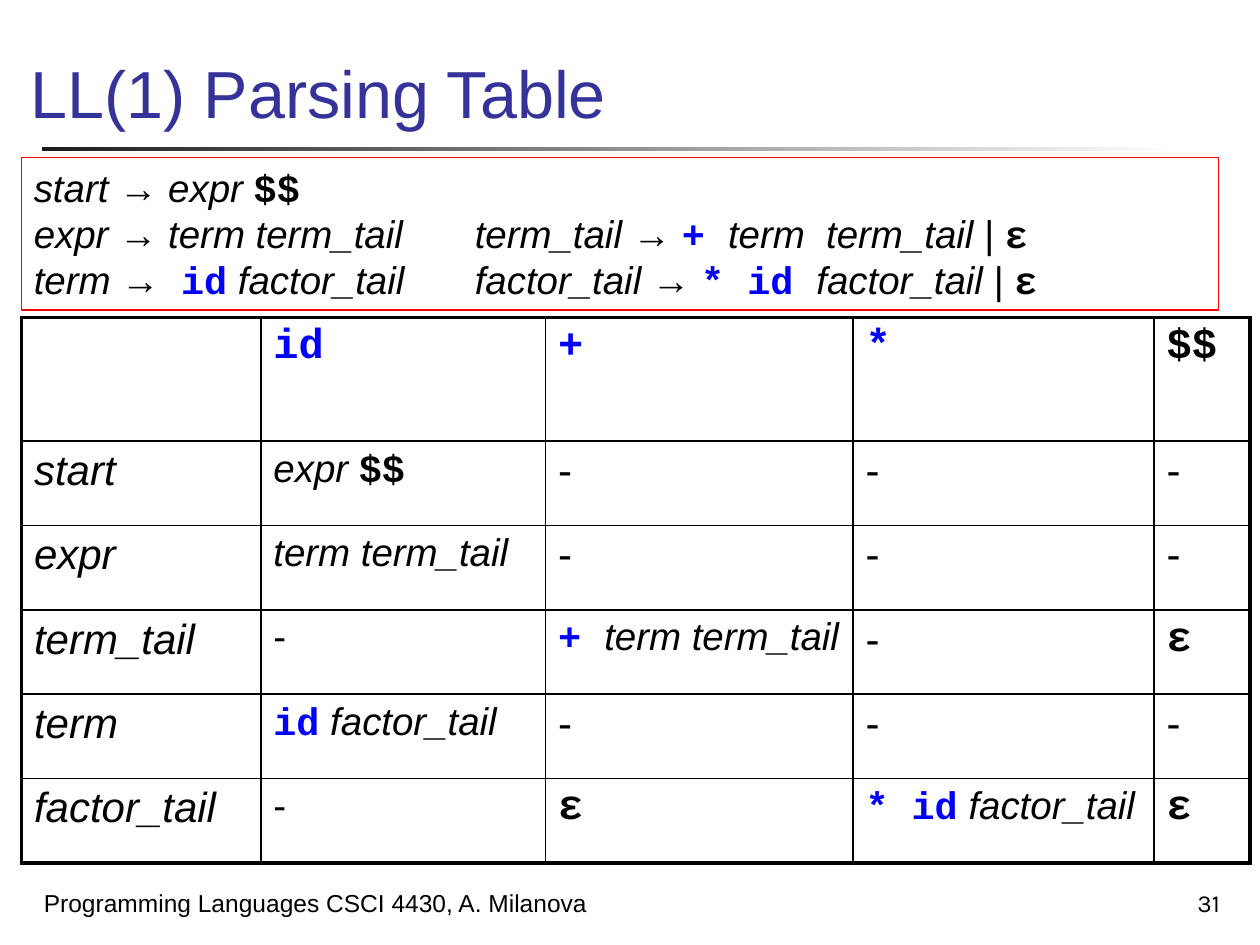
from typing import NamedTuple

from lxml.etree import SubElement
from pptx import Presentation
from pptx.dml.color import RGBColor
from pptx.enum.shapes import MSO_SHAPE as Shape
from pptx.enum.text import MSO_ANCHOR as Anchor, PP_ALIGN as Align
from pptx.oxml.ns import qn
from pptx.util import Inches, Pt

COLORS = {
    "title": "333399", "text": "000000", "terminal": "0000FF",
    "frame": "FF0000", "rule": "1C1C1C", "paper": "FFFFFF",
}


class Style(NamedTuple):
    font: str = "Arial"
    color: str = "text"
    bold: bool = False
    italic: bool = False


PLAIN = Style()
NONTERM = Style(italic=True)
TERMINAL = Style("Courier New", "terminal", bold=True)
SYMBOL = Style("Courier New", bold=True)


class Piece(NamedTuple):
    text: str
    style: Style = PLAIN


class Entry(NamedTuple):
    pieces: list[Piece]
    size: int = 24


class Label(NamedTuple):
    text: str
    left: float
    width: float
    font: str
    align: Align


BAR, EPSILON = Piece("| "), Piece("ε", SYMBOL)
PRODUCTIONS = [
    [Piece("start → expr ", NONTERM), Piece("$$", SYMBOL)],
    [Piece("expr → term term_tail\t\tterm_tail → ", NONTERM), Piece("+ ", TERMINAL),
     Piece("term  term_tail ", NONTERM), BAR, EPSILON],
    [Piece("term →  ", NONTERM), Piece("id", TERMINAL),
     Piece(" factor_tail\t\tfactor_tail → ", NONTERM), Piece("* id ", TERMINAL),
     Piece("factor_tail ", NONTERM), BAR, EPSILON],
]

LOOKAHEADS = ["id", "+", "*", "$$"]
NONTERMINALS = ["start", "expr", "term_tail", "term", "factor_tail"]
EPS, DASH = Entry([EPSILON]), Entry([Piece("-")])
PARSE_TABLE = {
    ("start", "id"): Entry([Piece("expr ", NONTERM), Piece("$$", SYMBOL)], 22),
    ("expr", "id"): Entry([Piece("term term_tail", NONTERM)], 22),
    ("term_tail", "id"): Entry([Piece("-")], 22),
    ("term_tail", "+"): Entry([Piece("+ ", TERMINAL), Piece("term term_tail", NONTERM)], 22),
    ("term_tail", "$$"): EPS,
    ("term", "id"): Entry([Piece("id", TERMINAL), Piece(" factor_tail", NONTERM)], 22),
    ("factor_tail", "id"): Entry([Piece("-")], 22),
    ("factor_tail", "+"): EPS,
    ("factor_tail", "*"): Entry([Piece("* id", TERMINAL), Piece(" factor_tail", NONTERM)], 22),
    ("factor_tail", "$$"): EPS,
}
COL_WIDTHS = [1.9, 2.26, 2.44, 2.39, 0.76]
ROW_HEIGHTS = [0.98] + [0.67] * len(NONTERMINALS)

FOOTERS = [
    Label("Programming Languages CSCI 4430, A. Milanova", 0.25, 5.17, "Arial", Align.LEFT),
    Label("31", 7.7, 2.08, "Karla", Align.RIGHT),
]


def rgb(name: str) -> RGBColor:
    return RGBColor.from_string(COLORS[name])


def box(left: float, top: float, width: float, height: float) -> list[int]:
    return [Inches(v) for v in (left, top, width, height)]


def add_text(p, text: str, *, size: float, font: str = "Arial", color: str = "text",
             bold: bool = False, italic: bool = False) -> None:
    r = p.add_run()
    r.text = text
    f = r.font
    f.size, f.name, f.bold, f.italic = Pt(size), font, bold, italic
    f.color.rgb = rgb(color)


def add_pieces(p, pieces: list[Piece], size: float) -> None:
    p.alignment = Align.LEFT
    for piece in pieces:
        add_text(p, piece.text, size=size, **piece.style._asdict())


def add_title(s) -> None:
    sp = s.shapes.title
    sp.left, sp.top, sp.width, sp.height = box(0.14, 0, 9.52, 1.1)
    sp.text_frame.vertical_anchor = Anchor.BOTTOM
    p = sp.text_frame.paragraphs[0]
    p.alignment = Align.LEFT
    add_text(p, "LL(1) Parsing Table", size=38, color="title")


def add_title_rule(s) -> None:
    sp = s.shapes.add_shape(Shape.RECTANGLE, *box(0.33, 1.17, 9, 0.03))
    sp.shadow.inherit = False
    sp.line.fill.background()
    sp.fill.gradient()
    sp.fill.gradient_angle = 0
    for stop, color in zip(sp.fill.gradient_stops, ("rule", "paper")):
        stop.color.rgb = rgb(color)


def add_grammar(s) -> None:
    sp = s.shapes.add_shape(Shape.RECTANGLE, *box(0.17, 1.25, 9.5, 1.21))
    sp.shadow.inherit = False
    sp.fill.background()
    sp.line.color.rgb, sp.line.width = rgb("frame"), Pt(0.75)
    tf = sp.text_frame
    tf.word_wrap, tf.vertical_anchor = True, Anchor.TOP
    for i, pieces in enumerate(PRODUCTIONS):
        p = tf.add_paragraph() if i else tf.paragraphs[0]
        add_pieces(p, pieces, 22)


def set_border(cell, edge: str, width: float) -> None:
    ln = SubElement(cell._tc.get_or_add_tcPr(), qn(f"a:{edge}"), w=str(Pt(width)))
    SubElement(SubElement(ln, qn("a:solidFill")), qn("a:srgbClr"), val=COLORS["text"])


def table_entry(row: int, col: int) -> Entry:
    if row == 0:
        if col == 0:
            return Entry([])
        symbol = LOOKAHEADS[col - 1]
        return Entry([Piece(symbol, SYMBOL if symbol == "$$" else TERMINAL)])
    name = NONTERMINALS[row - 1]
    if col == 0:
        return Entry([Piece(name, NONTERM)])
    return PARSE_TABLE.get((name, LOOKAHEADS[col - 1]), DASH)


def add_parse_table(s) -> None:
    n_rows, n_cols = len(ROW_HEIGHTS), len(COL_WIDTHS)
    area = box(0.17, 2.52, sum(COL_WIDTHS), sum(ROW_HEIGHTS))
    table = s.shapes.add_table(n_rows, n_cols, *area).table
    table.first_row = table.horz_banding = False
    for column, width in zip(table.columns, COL_WIDTHS):
        column.width = Inches(width)
    for i, height in enumerate(ROW_HEIGHTS):
        table.rows[i].height = Inches(height)
        for j in range(n_cols):
            cell = table.cell(i, j)
            outer = {"lnL": j == 0, "lnR": j == n_cols - 1,
                     "lnT": i == 0, "lnB": i == n_rows - 1}
            for edge, is_outer in outer.items():
                set_border(cell, edge, 2.25 if is_outer else 1)
            cell.fill.background()
            entry = table_entry(i, j)
            add_pieces(cell.text_frame.paragraphs[0], entry.pieces, entry.size)


def add_footer(s, label: Label) -> None:
    tf = s.shapes.add_textbox(*box(label.left, 6.83, label.width, 0.5)).text_frame
    tf.word_wrap, tf.vertical_anchor = True, Anchor.BOTTOM
    p = tf.paragraphs[0]
    p.alignment = label.align
    add_text(p, label.text, size=14, font=label.font)


def main() -> None:
    prs = Presentation()
    prs.slide_width, prs.slide_height = Inches(10), Inches(7.5)
    s = prs.slides.add_slide(prs.slide_layouts[5])
    add_title_rule(s)
    add_title(s)
    add_parse_table(s)
    add_grammar(s)
    for label in FOOTERS:
        add_footer(s, label)
    prs.save("out.pptx")


if __name__ == "__main__":
    main()
